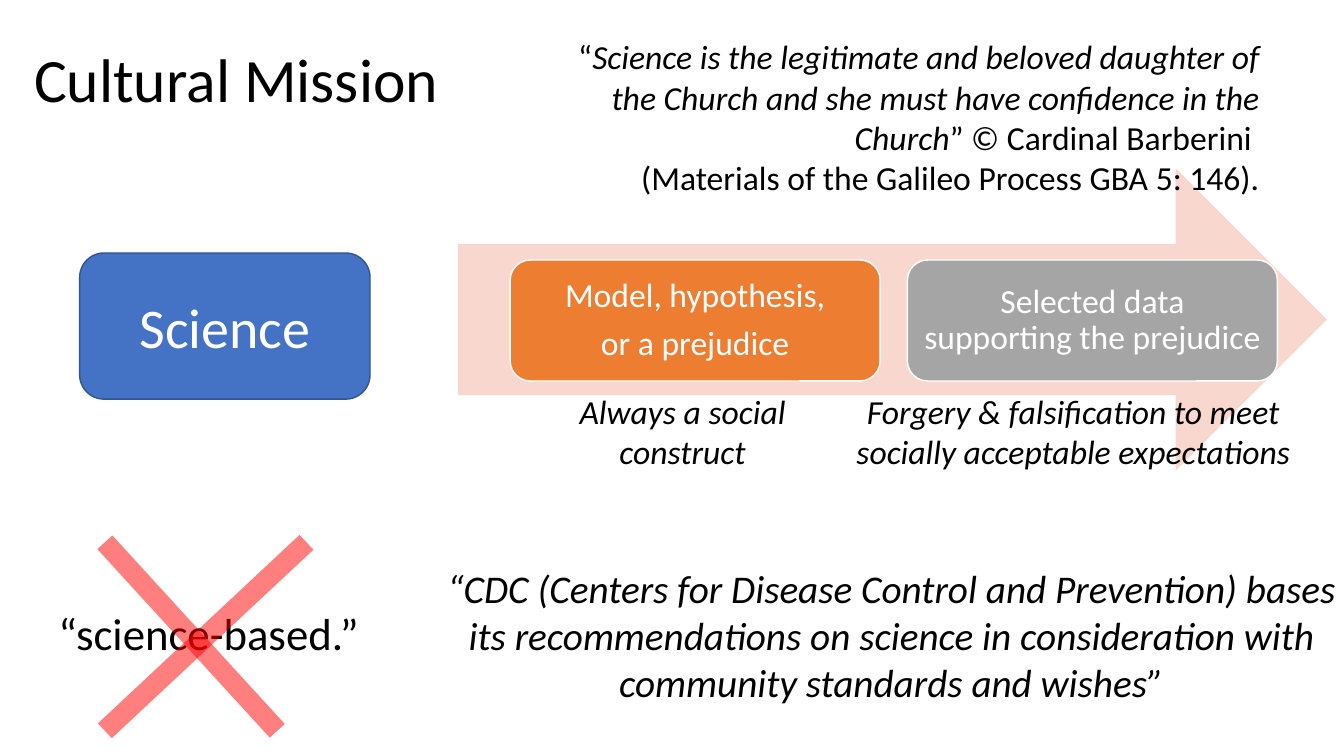
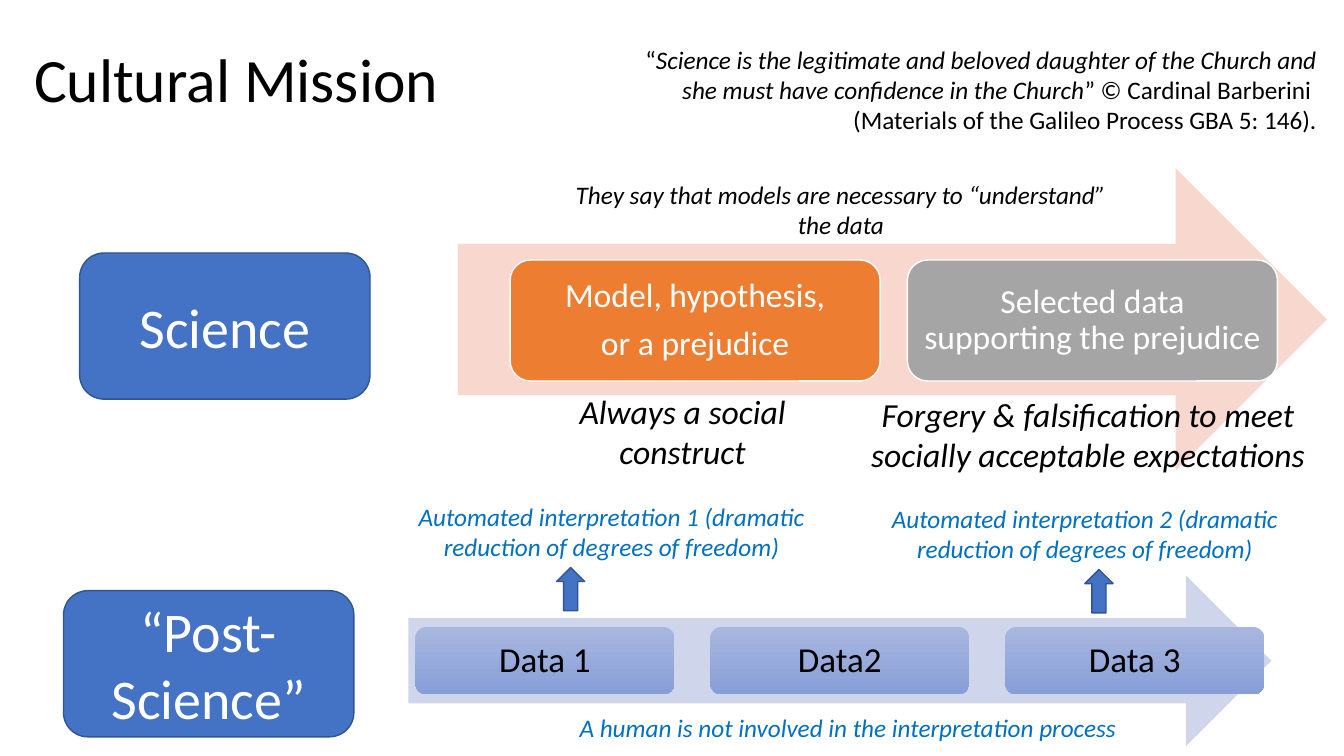
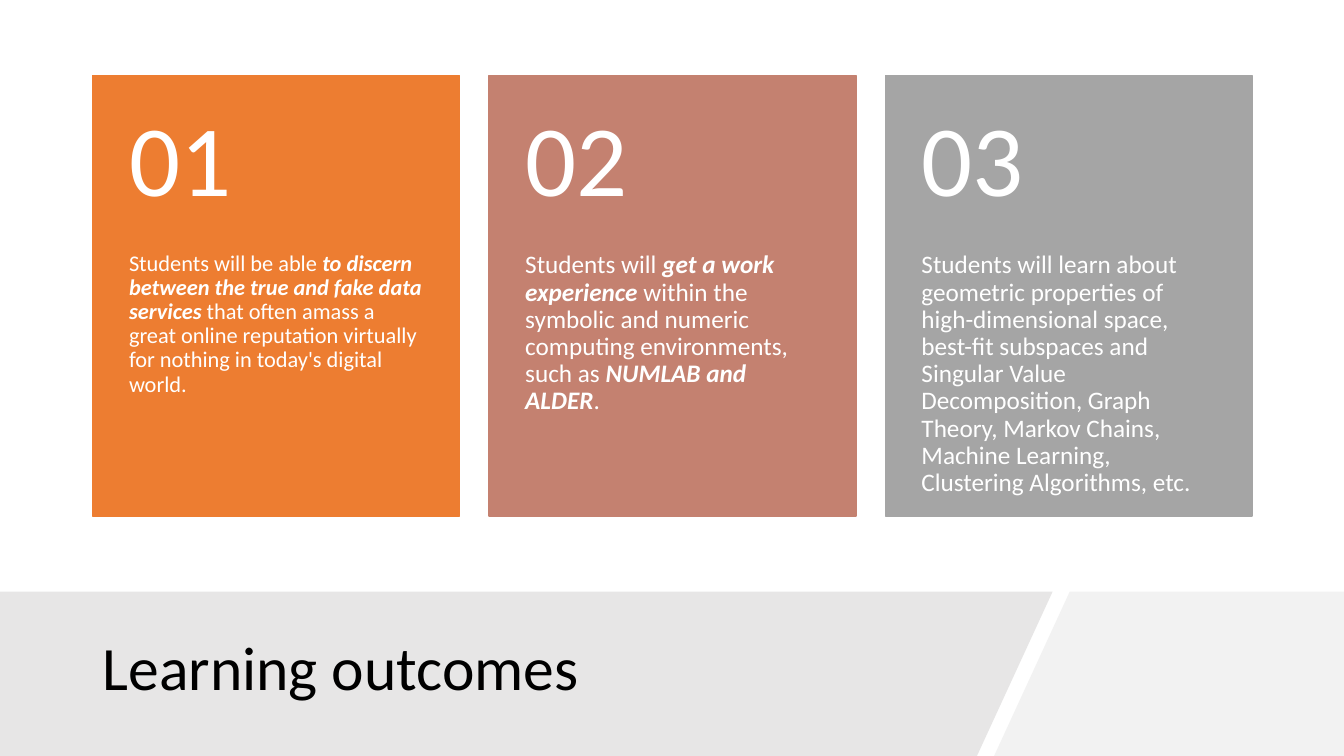
"""Builds three slides on the cultural mission of science and the learning outcomes."""
from lxml import etree
from pptx import Presentation
from pptx.dml.color import RGBColor
from pptx.enum import shapes, text
from pptx.oxml import ns
from pptx.util import Inches, Pt

FONT = "Calibri"
BLACK = RGBColor(0x00, 0x00, 0x00)
WHITE = RGBColor(0xFF, 0xFF, 0xFF)
BLUE = RGBColor(0x44, 0x72, 0xC4)
DARK_BLUE = RGBColor(0x32, 0x54, 0x91)
NOTE_BLUE = RGBColor(0x00, 0x70, 0xC0)
PALE_BLUE = RGBColor(0xCF, 0xD5, 0xEA)
DATA_TOP = RGBColor(0xA8, 0xB7, 0xDF)
DATA_BOTTOM = RGBColor(0x88, 0x9E, 0xD7)
ORANGE = RGBColor(0xED, 0x7D, 0x31)
PEACH = RGBColor(0xF8, 0xD7, 0xCE)
ROSE = RGBColor(0xC4, 0x81, 0x70)
GRAY = RGBColor(0xA5, 0xA5, 0xA5)
BAND_GRAY = RGBColor(0xE7, 0xE6, 0xE6)
PALE_GRAY = RGBColor(0xF2, 0xF2, 0xF2)
RED = RGBColor(0xFF, 0x00, 0x00)

LEFT, CENTER, RIGHT = text.PP_ALIGN.LEFT, text.PP_ALIGN.CENTER, text.PP_ALIGN.RIGHT
TOP, MIDDLE = text.MSO_ANCHOR.TOP, text.MSO_ANCHOR.MIDDLE
PRESET = shapes.MSO_SHAPE
PLAIN, ITALIC, STRONG = (False, False), (False, True), (True, True)
BOX_INSETS = (0.1, 0.1, 0.1, 0.1)
TEXT_INSETS = (0.1, 0.05, 0.1, 0.05)

QUOTE = [
    [("“", PLAIN),
     ("Science is the legitimate and beloved daughter of the Church and "
      "she must have confidence in the Church", ITALIC),
     ("” © Cardinal Barberini ", PLAIN)],
    [("(Materials of the Galileo Process GBA 5: 146).", PLAIN)],
]
OUTCOMES = [
    (ORANGE, 16, [
        ("Students will be able ", PLAIN),
        ("to discern between the true and fake data services ", STRONG),
        ("that often amass a great online reputation virtually for nothing "
         "in today's digital world.", PLAIN)]),
    (ROSE, 18, [
        ("Students will ", PLAIN),
        ("get a work experience ", STRONG),
        ("within the symbolic and numeric computing environments, such as ", PLAIN),
        ("NUMLAB and ALDER", STRONG),
        (".", PLAIN)]),
    (GRAY, 18, [
        ("Students will learn about geometric properties of high-dimensional space, "
         "best-fit subspaces and Singular Value Decomposition, Graph Theory, "
         "Markov Chains, Machine Learning, Clustering Algorithms, etc.", PLAIN)]),
]


def write(shape, paragraphs, size, color=BLACK, align=CENTER, anchor=TOP,
          insets=TEXT_INSETS, spacing=1.0, gap=0, wrap=True):
    """Fill a shape with paragraphs, each a list of (words, (bold, italic)) runs."""
    frame = shape.text_frame
    frame.word_wrap = wrap
    frame.vertical_anchor = anchor
    frame.margin_left, frame.margin_top, frame.margin_right, frame.margin_bottom = map(Inches, insets)
    for index, runs in enumerate(paragraphs):
        paragraph = frame.add_paragraph() if index else frame.paragraphs[0]
        paragraph.alignment = align
        paragraph.line_spacing = spacing
        paragraph.space_before = Pt(gap if index else 0)
        for words, (bold, italic) in runs:
            run = paragraph.add_run()
            run.text = words
            run.font.name, run.font.size = FONT, Pt(size)
            run.font.bold, run.font.italic = bold, italic
            run.font.color.rgb = color


def add_text(slide, box, paragraphs, size, **style):
    """Add a text box."""
    write(slide.shapes.add_textbox(*map(Inches, box)), paragraphs, size, **style)


def add_note(slide, box, words, size, **style):
    """Add a one-paragraph text box in italics."""
    add_text(slide, box, [[(words, ITALIC)]], size, **style)


def add_title(slide, box, words):
    """Add the slide title."""
    add_text(slide, box, [[(words, PLAIN)]], 44, align=LEFT, anchor=MIDDLE, spacing=0.9)


def paint(shape, fill, line=None):
    """Give a shape a flat fill and an optional outline, with no shadow."""
    shape.shadow.inherit = False
    shape.fill.solid()
    shape.fill.fore_color.rgb = fill
    if line is None:
        shape.line.fill.background()
    else:
        shape.line.color.rgb = line
        shape.line.width = Pt(1)


def add_preset(slide, preset, box, fill, line=None):
    """Add a painted preset shape."""
    shape = slide.shapes.add_shape(preset, *map(Inches, box))
    paint(shape, fill, line)
    return shape


def add_outline(slide, points, fill):
    """Add a filled polygon."""
    corners = [(Inches(x), Inches(y)) for x, y in points]
    builder = slide.shapes.build_freeform(*corners[0])
    builder.add_line_segments(corners[1:], close=True)
    paint(builder.convert_to_shape(), fill)


def add_topic(slide, left, top, words):
    """Add a large blue topic box."""
    topic = add_preset(slide, PRESET.ROUNDED_RECTANGLE, (left, top, 2.88, 1.45), BLUE, DARK_BLUE)
    write(topic, [[(words, PLAIN)]], 40, WHITE, anchor=MIDDLE)


def add_stroke(slide, start, end):
    """Add one thick translucent red stroke."""
    stroke = slide.shapes.add_connector(
        shapes.MSO_CONNECTOR.STRAIGHT, *map(Inches, start + end))
    stroke.line.color.rgb = RED
    stroke.line.width = Pt(14.5)
    properties = stroke._element.spPr
    color = properties.find(".//" + ns.qn("a:srgbClr"))
    etree.SubElement(color, ns.qn("a:alpha"), val="49000")
    etree.SubElement(properties, ns.qn("a:effectLst"))


def add_science_row(slide, forgery_box):
    """Add the title, the science topic and its arrow with two steps."""
    add_title(slide, (0.24, 0.09, 11.5, 1.45), "Cultural Mission")
    add_preset(slide, PRESET.RIGHT_ARROW, (4.54, 1.67, 8.62, 3), PEACH)
    steps = [
        (5.06, ORANGE, ["Model, hypothesis,", "or a prejudice"]),
        (9, GRAY, ["Selected data supporting the prejudice"]),
    ]
    for left, fill, lines in steps:
        step = add_preset(slide, PRESET.ROUNDED_RECTANGLE, (left, 2.58, 3.67, 1.2), fill, WHITE)
        write(step, [[(line, PLAIN)] for line in lines], 24, WHITE, anchor=MIDDLE,
              insets=BOX_INSETS, spacing=0.9, gap=8.4)
    add_topic(slide, 0.79, 2.51, "Science")
    add_note(slide, (5.4, 3.83, 2.74, 0.91), "Always a social construct", 24)
    add_note(slide, forgery_box,
             "Forgery & falsification to meet socially acceptable expectations", 24)


def build_science_slide(slide):
    """Build the slide on science and the crossed-out phrase."""
    add_science_row(slide, (8.26, 3.83, 4.77, 0.91))
    add_text(slide, (5.63, 0.31, 6.96, 1.72), QUOTE, 24, align=RIGHT)
    add_text(slide, (0.48, 5.96, 3.21, 0.64), [[("“science-based.”", PLAIN)]], 32,
             align=LEFT, wrap=False)
    add_stroke(slide, (1.04, 5.38), (2.75, 7.25))
    add_stroke(slide, (3.04, 5.38), (1.04, 7.25))
    add_note(slide, (4.33, 5.55, 9.02, 1.51),
             "“CDC (Centers for Disease Control and Prevention) bases its recommendations "
             "on science in consideration with community standards and wishes”", 28)


def build_post_science_slide(slide):
    """Build the slide that sets science against post-science."""
    add_science_row(slide, (8.34, 3.86, 4.9, 0.91))
    add_text(slide, (6.2, 0.39, 6.96, 1.01), QUOTE, 18, align=RIGHT)
    add_note(slide, (5.46, 1.73, 5.76, 0.71),
             "They say that models are necessary to “understand” the data", 18)
    add_topic(slide, 0.63, 5.86, "“Post-Science”")
    add_preset(slide, PRESET.RIGHT_ARROW, (4.05, 5.71, 8.56, 1.69), PALE_BLUE)
    for index, words in enumerate(["Data 1", "Data2", "Data 3"]):
        data = add_preset(slide, PRESET.ROUNDED_RECTANGLE,
                          (4.12 + index * 2.925, 6.22, 2.57, 0.67), DATA_TOP)
        data.fill.gradient()
        data.fill.gradient_angle = 270
        for stop, color in zip(data.fill.gradient_stops, (DATA_TOP, DATA_BOTTOM)):
            stop.color.rgb = color
        write(data, [[(words, PLAIN)]], 25, anchor=MIDDLE, insets=BOX_INSETS, spacing=0.9)
    interpretations = [
        ((5.52, 5.63), (3.92, 4.92, 4.29, 0.71)),
        ((10.76, 5.65), (8.36, 4.94, 4.8, 0.71)),
    ]
    for number, (arrow, box) in enumerate(interpretations, 1):
        add_preset(slide, PRESET.UP_ARROW, arrow + (0.28, 0.43), BLUE, DARK_BLUE)
        add_note(slide, box, f"Automated interpretation {number} "
                 "(dramatic reduction of degrees of freedom)", 18, color=NOTE_BLUE)
    add_note(slide, (5.65, 7.02, 6.86, 0.4),
             "A human is not involved in the interpretation process", 18,
             color=NOTE_BLUE, align=LEFT)


def build_outcomes_slide(slide):
    """Build the slide with three numbered outcome cards."""
    add_outline(slide, [(10.61, 5.87), (13.33, 5.87), (13.33, 7.5), (9.86, 7.5)], PALE_GRAY)
    add_outline(slide, [(0, 5.87), (10.44, 5.87), (9.69, 7.5), (0, 7.5)], BAND_GRAY)
    add_title(slide, (0.92, 6.05, 8.83, 1.2), "Learning outcomes")
    for index, (fill, size, runs) in enumerate(OUTCOMES):
        left = 0.92 + index * 3.93
        add_preset(slide, PRESET.RECTANGLE, (left, 0.75, 3.64, 4.37), fill, fill)
        add_text(slide, (left, 2.5, 3.64, 2.62), [runs], size, color=WHITE, align=LEFT,
                 insets=(0.36, 0, 0.36, 0.36), spacing=0.9)
        add_text(slide, (left, 0.75, 3.64, 1.75), [[(f"{index + 1:02}", PLAIN)]], 72,
                 color=WHITE, align=LEFT, anchor=MIDDLE,
                 insets=(0.36, 0.18, 0.36, 0.18), spacing=0.9)


def main():
    """Build and save the presentation."""
    presentation = Presentation()
    presentation.slide_width, presentation.slide_height = Inches(13.33), Inches(7.5)
    blank = presentation.slide_layouts[6]
    for build in (build_science_slide, build_post_science_slide, build_outcomes_slide):
        build(presentation.slides.add_slide(blank))
    presentation.save("out.pptx")


if __name__ == "__main__":
    main()
